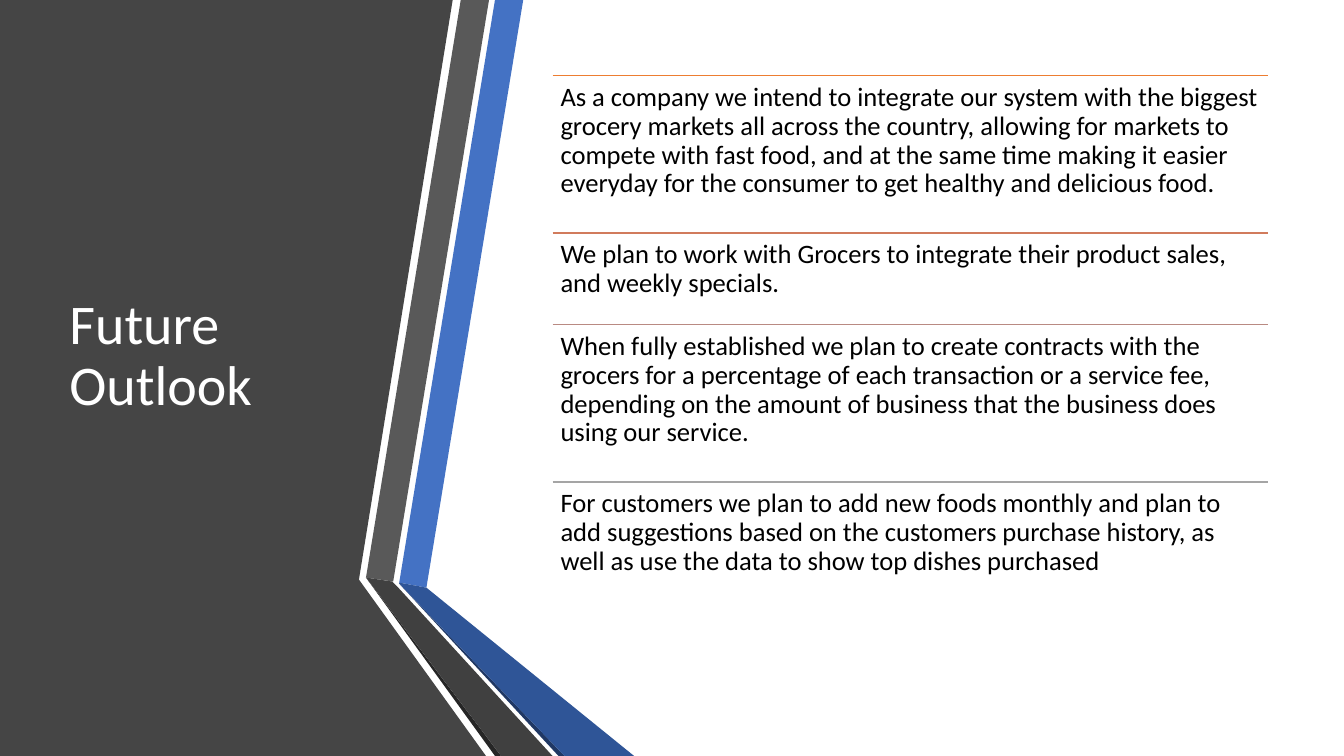
from lxml.etree import SubElement
from pptx import Presentation
from pptx.dml.color import RGBColor
from pptx.enum.shapes import MSO_CONNECTOR
from pptx.enum.text import MSO_ANCHOR
from pptx.oxml.ns import qn
from pptx.util import Inches, Pt

COLOURS = {
    "panel": "454545", "blue": "4472C4", "grey": "595959",
    "grey_edge": "262626", "blue_edge": "203864",
    "blue_fold": "2F5597", "grey_fold": "404040",
    "white": "FFFFFF", "black": "000000",
    "rule_1": "ED7D31", "rule_2": "D17B5C", "rule_3": "B98A82", "rule_4": "A5A5A5",
}
TITLE = "Future Outlook"
PLANS = [
    ("As a company we intend to integrate our system with the biggest grocery markets "
     "all across the country, allowing for markets to compete with fast food, and at the "
     "same time making it easier everyday for the consumer to get healthy and delicious food.",
     1.56, "rule_1"),
    ("We plan to work with Grocers to integrate their product sales, and weekly specials.",
     0.91, "rule_2"),
    ("When fully established we plan to create contracts with the grocers for a percentage "
     "of each transaction or a service fee, depending on the amount of business that the "
     "business does using our service.", 1.56, "rule_3"),
    ("For customers we plan to add new foods monthly and plan to add suggestions based on "
     "the customers purchase history, as well as use the data to show top dishes purchased",
     1.56, "rule_4"),
]
BANDS = [
    ("panel", [(0, 0), (4.49, 0), (3.56, 5.75), (4.82, 7.5), (0, 7.5)]),
    ("blue", [(3.96, 5.78), (4.23, 5.83), (5.19, 0), (4.91, 0)]),
    ("grey", [(4.85, 0), (4.57, 0), (3.63, 5.73), (3.9, 5.77)]),
    ("grey_edge", [(3.63, 5.73), (4.91, 7.5), (4.97, 7.5)]),
    ("blue_edge", [(3.96, 5.79), (5.54, 7.5), (5.6, 7.5)]),
    ("blue_fold", [(3.96, 5.79), (5.6, 7.5), (6.29, 7.5), (4.23, 5.83), (3.96, 5.78)]),
    ("grey_fold", [(5.48, 7.5), (3.95, 5.83), (3.89, 5.77), (3.63, 5.73), (4.97, 7.5)]),
]
PLANS_LEFT, PLANS_TOP, PLANS_WIDTH = 5.48, 0.75, 7.1


def colour(name):
    """Return the named colour."""
    return RGBColor.from_string(COLOURS[name])


def add_band(slide, fill, points):
    """Draw a closed filled outline through the points."""
    corners = [(Inches(x), Inches(y)) for x, y in points]
    builder = slide.shapes.build_freeform(*corners[0])
    builder.add_line_segments(corners[1:], close=True)
    shape = builder.convert_to_shape()
    shape.shadow.inherit = False
    shape.fill.solid()
    shape.fill.fore_color.rgb = colour(fill)
    shape.line.fill.background()


def add_rule(slide, top, line):
    """Draw a horizontal rule above a plan."""
    connector = slide.shapes.add_connector(
        MSO_CONNECTOR.STRAIGHT, Inches(PLANS_LEFT), Inches(top),
        Inches(PLANS_LEFT + PLANS_WIDTH), Inches(top))
    connector.line.color.rgb = colour(line)
    connector.line.width = Pt(1)
    SubElement(connector._element.spPr, qn("a:effectLst"))


def add_text(slide, text, *, box, size, fill, anchor=MSO_ANCHOR.TOP, insets=(0.1, 0.05)):
    """Add a wrapped text box with one formatted paragraph."""
    frame = slide.shapes.add_textbox(*(Inches(length) for length in box)).text_frame
    frame.word_wrap = True
    frame.vertical_anchor = anchor
    frame.margin_left = frame.margin_right = Inches(insets[0])
    frame.margin_top = frame.margin_bottom = Inches(insets[1])
    paragraph = frame.paragraphs[0]
    paragraph.line_spacing = 0.9
    run = paragraph.add_run()
    run.text = text
    run.font.name = "Calibri"
    run.font.size = Pt(size)
    run.font.color.rgb = colour(fill)


def main():
    """Build the slide and save it."""
    presentation = Presentation()
    presentation.slide_width, presentation.slide_height = Inches(13.33), Inches(7.5)
    slide = presentation.slides.add_slide(presentation.slide_layouts[6])
    for fill, points in BANDS:
        add_band(slide, fill, points)
    add_text(slide, TITLE, box=(0.59, 0.75, 3.04, 5.58), size=40, fill="white",
             anchor=MSO_ANCHOR.MIDDLE)
    top = PLANS_TOP
    for text, height, line in PLANS:
        add_rule(slide, top, line)
        add_text(slide, text, box=(PLANS_LEFT, top, PLANS_WIDTH, height), size=19,
                 fill="black", insets=(0.08, 0.08))
        top += height
    presentation.save("out.pptx")


if __name__ == "__main__":
    main()
